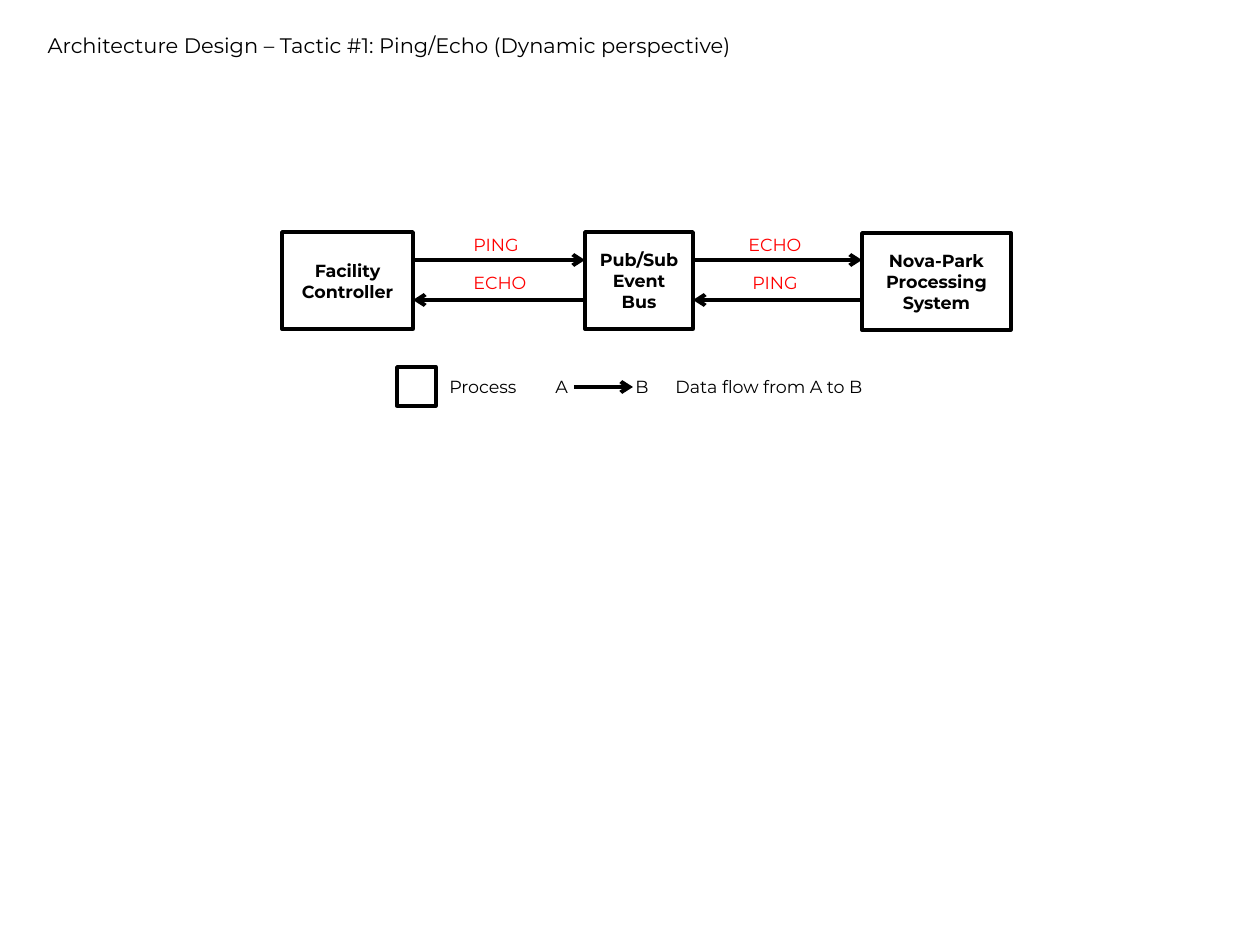
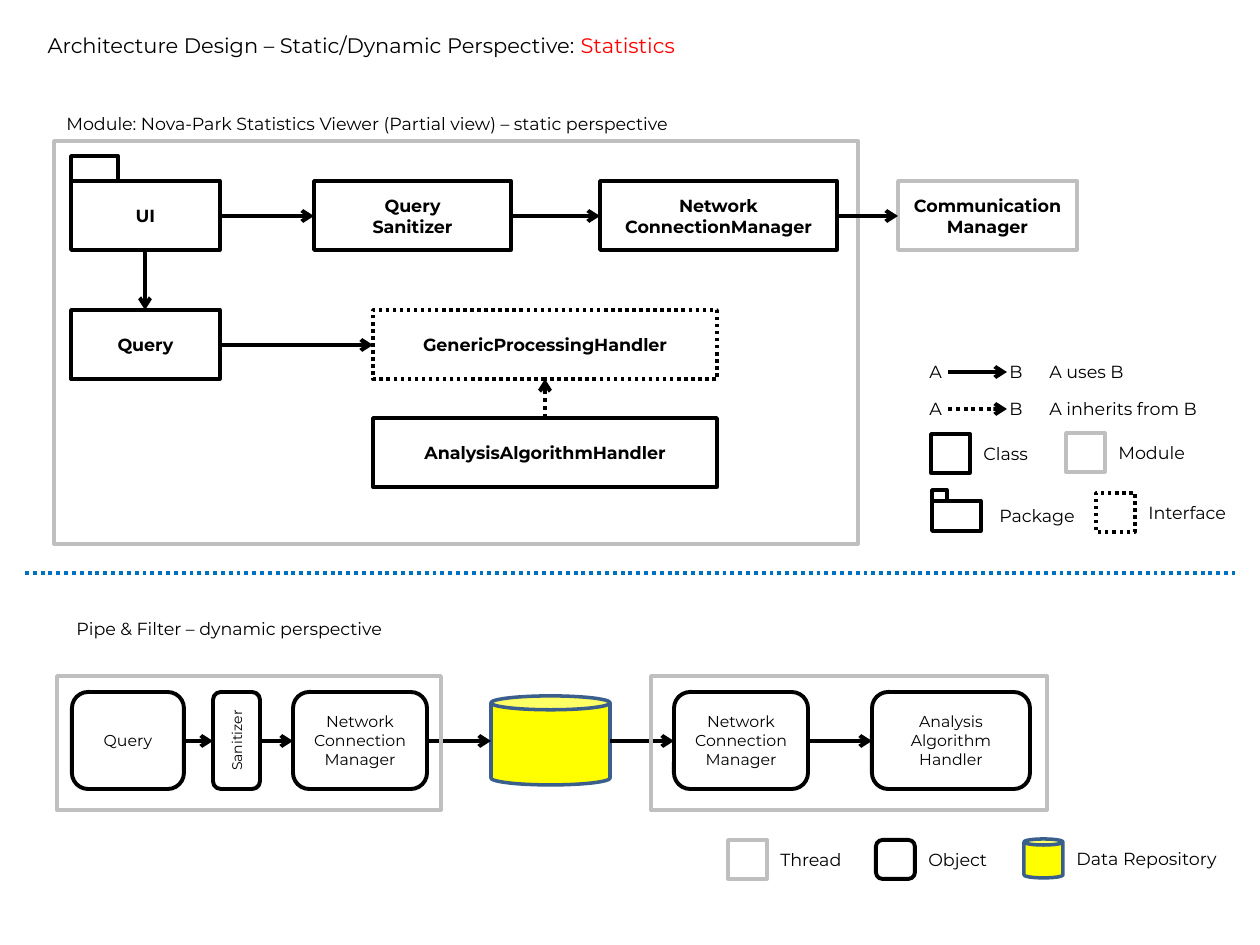
from dataclasses import dataclass
from itertools import pairwise
from typing import Optional

from lxml import etree
from pptx import Presentation
from pptx.dml.color import RGBColor
from pptx.enum import dml, shapes, text
from pptx.oxml.ns import qn
from pptx.util import Emu, Pt

# Shared look
FONT = "Montserrat"
BLACK = RGBColor(0x00, 0x00, 0x00)
WHITE = RGBColor(0xFF, 0xFF, 0xFF)
RED = RGBColor(0xFF, 0x00, 0x00)
GREY = RGBColor(0xBF, 0xBF, 0xBF)
BLUE = RGBColor(0x00, 0x70, 0xC0)
NAVY = RGBColor(0x3A, 0x5F, 0x8C)
YELLOW = RGBColor(0xFF, 0xFF, 0x00)
DOTS = dml.MSO_LINE.ROUND_DOT
KIND = shapes.MSO_SHAPE
SCALE = 914400 / 126  # EMU in one pixel
KEY = 39  # side of a legend box
LINE = 34  # height of a one-line label


@dataclass(frozen=True)
class Look:
    """Outline, fill and text style of one kind of box."""
    kind: int = KIND.RECTANGLE
    color: RGBColor = BLACK
    width: float = 2
    dots: bool = False
    fill: Optional[RGBColor] = None
    size: float = 10
    bold: bool = True


@dataclass(frozen=True)
class Box:
    x: int
    y: int
    w: int
    h: int
    words: str = ""
    look: Look = Look()

    @property
    def right(self) -> int:
        return self.x + self.w

    @property
    def base(self) -> int:
        return self.y + self.h

    @property
    def mid(self) -> int:
        return self.x + self.w // 2


CLASS = Look()
SOLID = Look(fill=WHITE)
FRAME = Look(color=GREY)
FACE = Look(dots=True)
OBJECT = Look(KIND.ROUNDED_RECTANGLE, width=2.25, size=9, bold=False)
SLIM = Look(KIND.ROUNDED_RECTANGLE, width=2.25, size=8, bold=False)
STORE = Look(KIND.CAN, NAVY, fill=YELLOW)


def px(n: float) -> Emu:
    return Emu(round(n * SCALE))


def style(para, size: float, color: RGBColor = BLACK, bold: bool = False) -> None:
    font = para.font
    font.name, font.size, font.bold = FONT, Pt(size), bold
    font.color.rgb = color


def head(slide, width: int, words: str, extra: str = "") -> None:
    """Format the title, with an optional red ending."""
    title = slide.shapes.title
    title.left, title.top, title.width, title.height = map(px, (35, 26, width, 38))
    frame = title.text_frame
    frame.word_wrap = False
    frame.auto_size = text.MSO_AUTO_SIZE.NONE
    frame.vertical_anchor = text.MSO_ANCHOR.TOP
    para = frame.paragraphs[0]
    para.alignment = text.PP_ALIGN.LEFT
    style(para, 12)
    para.add_run().text = words
    if extra:
        run = para.add_run()
        run.text = extra
        run.font.color.rgb = RED


def label(slide, x: int, y: int, w: int, words: str, color: RGBColor = BLACK) -> None:
    frame = slide.shapes.add_textbox(*map(px, (x, y, w, LINE))).text_frame
    frame.word_wrap = False
    frame.auto_size = text.MSO_AUTO_SIZE.SHAPE_TO_FIT_TEXT
    frame.text = words
    style(frame.paragraphs[0], 10, color)


def draw(slide, box: Box):
    look = box.look
    shape = slide.shapes.add_shape(look.kind, *map(px, (box.x, box.y, box.w, box.h)))
    shape.shadow.inherit = False
    if look.fill is None:
        shape.fill.background()
    else:
        shape.fill.solid()
        shape.fill.fore_color.rgb = look.fill
    shape.line.color.rgb = look.color
    shape.line.width = Pt(look.width)
    if look.dots:
        shape.line.dash_style = DOTS
    if look.kind == KIND.CAN:
        shape.adjustments[0] = 0.156
    if box.words:
        frame = shape.text_frame
        frame.text = box.words
        frame.word_wrap = True
        frame.vertical_anchor = text.MSO_ANCHOR.MIDDLE
        for para in frame.paragraphs:
            para.alignment = text.PP_ALIGN.CENTER
            style(para, look.size, bold=look.bold)
    return shape


def link(slide, x: int, y: int, x2: int, y2: int, color: RGBColor = BLACK,
         dots: bool = False, tip: bool = True) -> None:
    wire = slide.shapes.add_connector(shapes.MSO_CONNECTOR.STRAIGHT,
                                      *map(px, (x, y, x2, y2)))
    wire.line.color.rgb = color
    wire.line.width = Pt(2.25)
    if dots:
        wire.line.dash_style = DOTS
    props = wire.element.spPr
    if tip:
        etree.SubElement(props.find(qn("a:ln")), qn("a:tailEnd"), type="arrow")
    etree.SubElement(props, qn("a:effectLst"))


def key(slide, x: int, y: int, w: int, words: str, look: Look) -> None:
    """Legend entry for a kind of box."""
    draw(slide, Box(x, y, KEY, KEY, look=look))
    label(slide, x + KEY + 1, y + 3, w, words)


def flow(slide, x: int, y: int, w: int, words: str, dots: bool = False) -> None:
    """Legend entry for an arrow from A to B."""
    label(slide, x, y, 39, "A")
    label(slide, x + 80, y, 39, "B")
    label(slide, x + 120, y, w, words)
    link(slide, x + 31, y + 17, x + 90, y + 17, dots=dots)


deck = Presentation()
deck.slide_width, deck.slide_height = px(1260), px(945)
plain = deck.slide_layouts[5]

# Slide 1: ping and echo
page = deck.slides.add_slide(plain)
head(page, 785, "Architecture Design – Tactic #1: Ping/Echo (Dynamic perspective)")
nodes = [
    Box(282, 232, 131, 97, "Facility Controller"),
    Box(585, 232, 108, 97, "Pub/Sub\nEvent Bus"),
    Box(862, 233, 149, 97, "Nova-Park\nProcessing\nSystem"),
]
for node in nodes:
    draw(page, node)
for a, b in pairwise(nodes):
    link(page, a.right, 260, b.x, 260)
    link(page, b.x, 300, a.right, 300)
for x, y, w, words in [(461, 228, 74, "PING"), (461, 266, 82, "ECHO"),
                       (736, 228, 82, "ECHO"), (740, 266, 74, "PING")]:
    label(page, x, y, w, words, RED)
key(page, 397, 367, 103, "Process", CLASS)
flow(page, 543, 370, 233, "Data flow from A to B")

# Slide 2: statistics, static part
page = deck.slides.add_slide(plain)
head(page, 730, "Architecture Design – Static/Dynamic Perspective: ", "Statistics")
draw(page, Box(54, 141, 804, 403, look=FRAME))
label(page, 54, 107, 706,
      "Module: Nova-Park Statistics Viewer (Partial view) – static perspective")
row = [
    Box(71, 181, 149, 69, "UI"),
    Box(314, 181, 197, 69, "Query\nSanitizer"),
    Box(600, 181, 237, 69, "Network\nConnectionManager"),
    Box(898, 181, 179, 69, "Communication Manager", FRAME),
]
view = row[0]
query = Box(71, 310, 149, 69, "Query")
base = Box(373, 310, 344, 69, "GenericProcessingHandler", FACE)
child = Box(373, 418, 344, 69, "AnalysisAlgorithmHandler")
tab = Box(view.x, 156, 47, 25)
for box in [*row, tab, query, base, child]:
    draw(page, box)
for a, b in pairwise(row):
    link(page, a.right, 216, b.x, 216)
link(page, view.mid, view.base, query.mid, query.y)
link(page, query.right, 345, base.x, 345)
link(page, child.mid, child.y, base.mid, base.base, dots=True)

# Static legend
flow(page, 917, 355, 110, "A uses B")
flow(page, 917, 392, 189, "A inherits from B", dots=True)
key(page, 931, 434, 78, "Class", SOLID)
key(page, 1066, 433, 94, "Module", FRAME)
key(page, 1096, 493, 113, "Interface", FACE)
draw(page, Box(932, 501, 49, 30))
draw(page, Box(932, 490, 15, 11))
label(page, 987, 499, 108, "Package")

# Divider
link(page, 25, 573, 1235, 573, BLUE, dots=True, tip=False)

# Dynamic part: pipe and filter
label(page, 64, 612, 368, "Pipe & Filter – dynamic perspective")
net = "Network\nConnection\nManager"
pipe = [
    Box(72, 692, 112, 97, "Query", OBJECT),
    Box(213, 692, 47, 97, "Sanitizer", SLIM),
    Box(293, 692, 134, 97, net, OBJECT),
    Box(491, 696, 119, 89, look=STORE),
    Box(674, 692, 134, 97, net, OBJECT),
    Box(872, 692, 158, 97, "Analysis\nAlgorithm\nHandler", OBJECT),
]
for box in pipe:
    shape = draw(page, box)
    if box.look is SLIM:
        shape.element.txBody.find(qn("a:bodyPr")).set("vert", "vert270")
for a, b in pairwise(pipe):
    link(page, a.right, 741, b.x, 741)
for x, w in [(57, 384), (651, 396)]:
    draw(page, Box(x, 676, w, 134, look=FRAME))

# Dynamic legend
key(page, 728, 840, 93, "Thread", FRAME)
key(page, 876, 840, 89, "Object", OBJECT)
key(page, 1024, 839, 180, "Data Repository", STORE)

deck.save("out.pptx")
